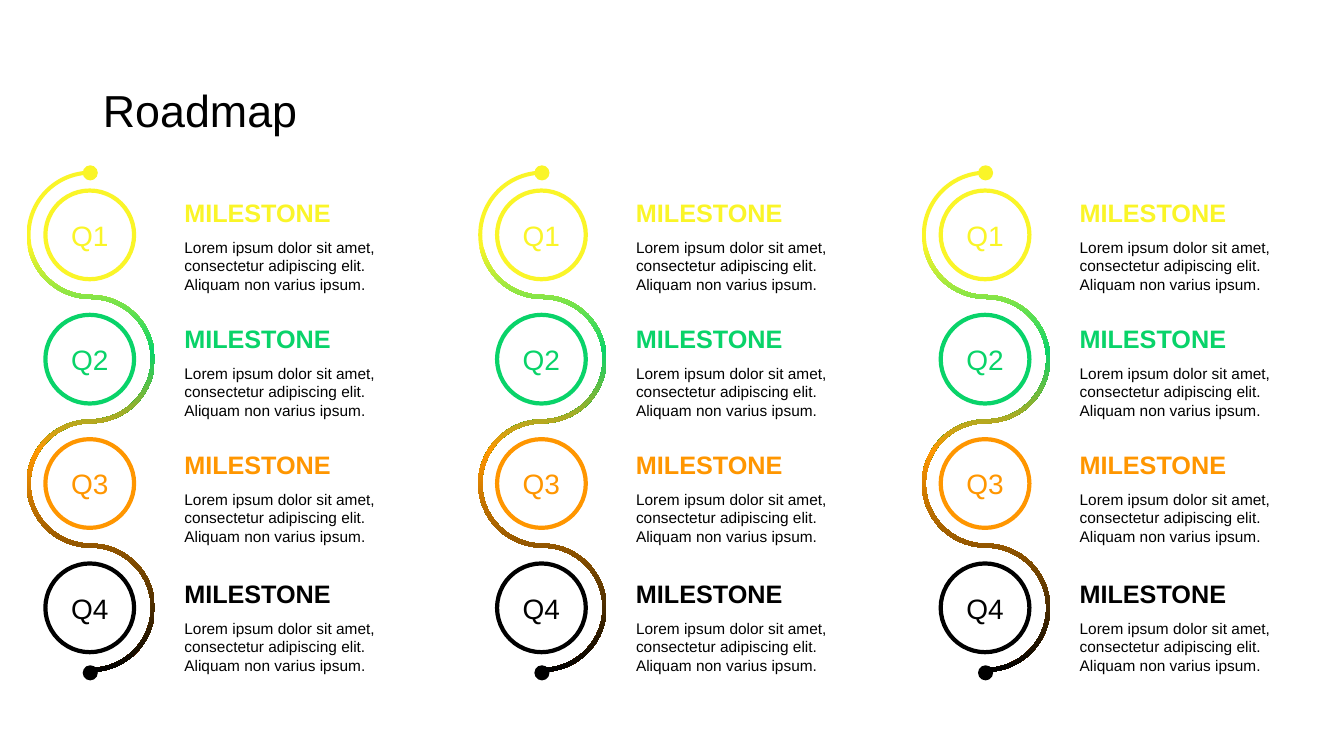
import copy

import lxml.etree
import pptx
import pptx.util
from pptx.dml.color import RGBColor
from pptx.enum.shapes import MSO_SHAPE
from pptx.enum.text import MSO_ANCHOR, PP_ALIGN
from pptx.oxml.ns import qn
from pptx.util import Inches

YELLOW = RGBColor(0xFA, 0xF5, 0x28)
GREEN = RGBColor(0x09, 0xD3, 0x69)
ORANGE = RGBColor(0xFF, 0x96, 0x00)
BLACK = RGBColor(0x00, 0x00, 0x00)
WHITE = RGBColor(0xFF, 0xFF, 0xFF)

FONT = "Arial"
DESCRIPTION = ("Lorem ipsum dolor sit amet, consectetur adipiscing elit. "
               "Aliquam non varius ipsum.")

# Quarter label, colour, top of the milestone text
QUARTERS = [("Q1", YELLOW, 1.94), ("Q2", GREEN, 3.19),
            ("Q3", ORANGE, 4.44), ("Q4", BLACK, 5.72)]
RIBBON_STOPS = [(0.15, YELLOW), (0.36, GREEN), (0.56, ORANGE), (1, BLACK)]

COLUMN_LEFTS = [0.45, 4.93, 9.33]
BADGE_TOP = 1.89
BADGE_SIZE = 0.88
BADGE_PITCH = 3.7 / 3
DOT_SIZE = 0.15
RIBBON_WIDTH = 0.04
SWINGS = [-1, 1, -1, 1]  # left or right of the badge


def format_paragraph(paragraph, text, size, color, bold=False):
    paragraph.text = text
    paragraph.font.name = FONT
    paragraph.font.size = pptx.util.Pt(size)
    paragraph.font.bold = bold
    paragraph.font.color.rgb = color


def add_title(slide, text):
    title = slide.shapes.title
    title.left, title.top = Inches(0.92), Inches(0.4)
    title.width, title.height = Inches(11.5), Inches(1.45)
    title.text_frame.vertical_anchor = MSO_ANCHOR.MIDDLE
    paragraph = title.text_frame.paragraphs[0]
    format_paragraph(paragraph, text, 32, BLACK)
    paragraph.alignment = PP_ALIGN.LEFT
    paragraph.line_spacing = 0.9


def add_circle(slide, left, top, size, color):
    circle = slide.shapes.add_shape(MSO_SHAPE.OVAL, Inches(left), Inches(top),
                                    Inches(size), Inches(size))
    circle.shadow.inherit = False
    circle.fill.solid()
    circle.fill.fore_color.rgb = color
    circle.line.fill.background()
    return circle


def add_badge(slide, left, top, label, color):
    badge = add_circle(slide, left, top, BADGE_SIZE, WHITE)
    badge.line.color.rgb = color
    badge.line.width = pptx.util.Pt(3)
    badge.text_frame.vertical_anchor = MSO_ANCHOR.MIDDLE
    paragraph = badge.text_frame.paragraphs[0]
    format_paragraph(paragraph, label, 20, color)
    paragraph.alignment = PP_ALIGN.CENTER


def ribbon_edge(center_x, offset):
    """Start, then the outermost point and end of each half circle."""
    radii = [BADGE_PITCH / 2 + swing * offset for swing in SWINGS]
    y = BADGE_TOP + BADGE_SIZE / 2 - radii[0]
    points = [(center_x, y)]
    for swing, radius in zip(SWINGS, radii):
        points += [(center_x + swing * radius, y + radius),
                   (center_x, y + 2 * radius)]
        y += 2 * radius
    return [(Inches(x), Inches(y)) for x, y in points]


def half_circle(offset, swing, downward):
    """An arcTo element for one swing of an edge."""
    radius = str(Inches(BADGE_PITCH / 2 + swing * offset))
    direction = 1 if downward else -1
    arc = lxml.etree.Element(qn("a:arcTo"))
    for name, value in (("wR", radius), ("hR", radius),
                        ("stAng", 270 * 60000 if downward else 90 * 60000),
                        ("swAng", swing * direction * 180 * 60000)):
        arc.set(name, str(value))
    return arc


def add_ribbon(slide, center_x):
    offset = RIBBON_WIDTH / 2
    right_edge = ribbon_edge(center_x, offset)
    left_edge = ribbon_edge(center_x, -offset)
    outline = right_edge + left_edge[::-1]
    builder = slide.shapes.build_freeform(*outline[0])
    builder.add_line_segments(outline[1:], close=True)
    ribbon = builder.convert_to_shape()
    ribbon.shadow.inherit = False
    ribbon.line.fill.background()

    # Round the swings: arcs take the place of all lines but the end cap
    properties = ribbon._element.spPr
    contour = properties.find(".//" + qn("a:path"))
    lines = contour.findall(qn("a:lnTo"))
    end_cap = lines.pop(len(right_edge) - 1)
    for line in lines:
        contour.remove(line)
    for swing in SWINGS:
        end_cap.addprevious(half_circle(offset, swing, True))
        end_cap.addnext(half_circle(-offset, swing, False))

    # The default gradient has two stops; copy them to get four
    ribbon.fill.gradient()
    ribbon.fill.gradient_angle = 270
    stop_list = properties.find(".//" + qn("a:gsLst"))
    stop_list.extend([copy.deepcopy(stop) for stop in stop_list])
    for stop, (position, color) in zip(ribbon.fill.gradient_stops, RIBBON_STOPS):
        stop.position = position
        stop.color.rgb = color


def add_text(slide, left, top, width, height, text, size, color, bold=False,
             line_spacing=1.0):
    box = slide.shapes.add_textbox(Inches(left), Inches(top),
                                   Inches(width), Inches(height))
    box.text_frame.word_wrap = True
    paragraph = box.text_frame.paragraphs[0]
    format_paragraph(paragraph, text, size, color, bold)
    paragraph.space_before = pptx.util.Pt(10)
    paragraph.line_spacing = line_spacing


def add_roadmap_column(slide, left):
    # Quarter badges
    for row, (label, color, _) in enumerate(QUARTERS):
        add_badge(slide, left, BADGE_TOP + row * BADGE_PITCH, label, color)

    # Winding ribbon with its end dots
    add_ribbon(slide, left + 0.45)
    add_circle(slide, left + 0.37, 1.64, DOT_SIZE, YELLOW)
    add_circle(slide, left + 0.37, 6.6, DOT_SIZE, BLACK)

    # Milestone texts
    text_left = left + 1.28
    for _, color, top in QUARTERS:
        add_text(slide, text_left, top, 2.36, 0.33, "MILESTONE", 18, color,
                 bold=True, line_spacing=0.9)
        add_text(slide, text_left, top + 0.37, 2.38, 0.77, DESCRIPTION, 11, BLACK)


def main():
    presentation = pptx.Presentation()
    presentation.slide_width = Inches(13.33)
    presentation.slide_height = Inches(7.5)
    slide = presentation.slides.add_slide(presentation.slide_layouts[5])
    add_title(slide, "Roadmap")
    for left in COLUMN_LEFTS:
        add_roadmap_column(slide, left)
    presentation.save("out.pptx")


if __name__ == "__main__":
    main()
